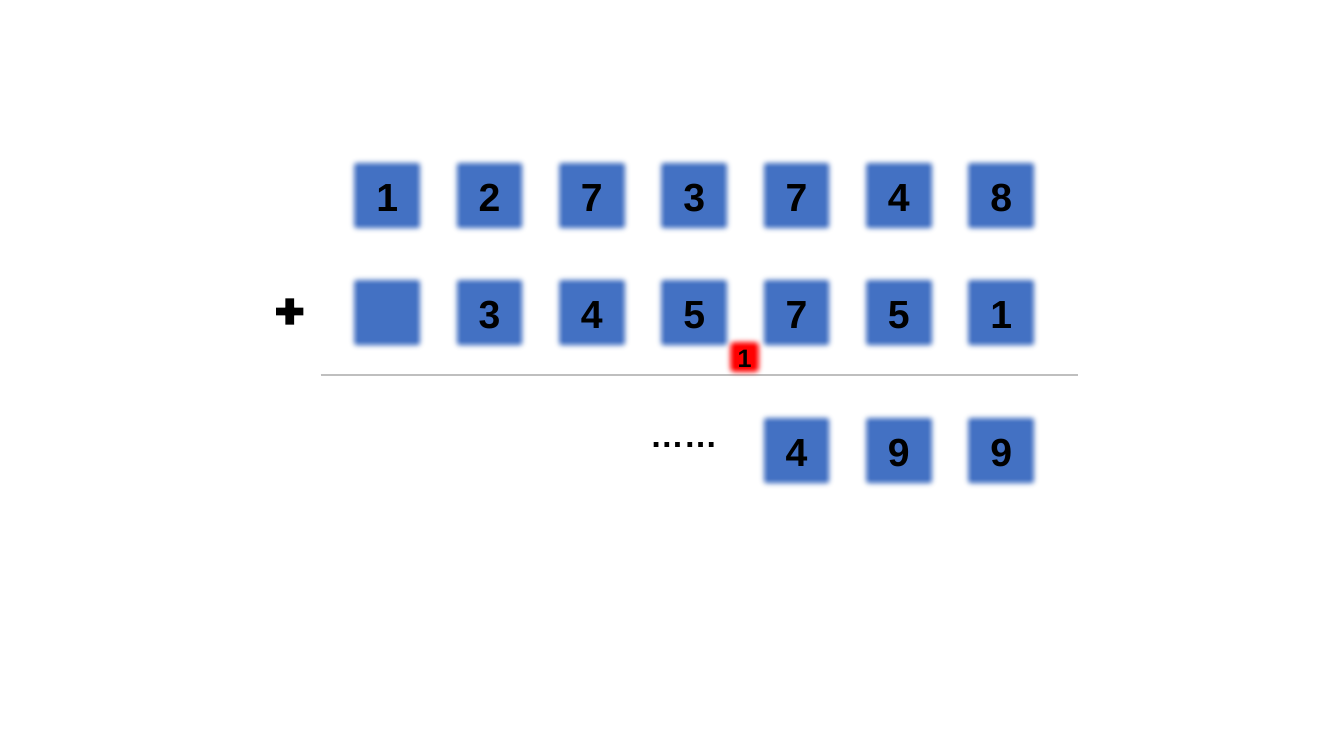
from lxml import etree
from pptx import Presentation
from pptx.dml.color import RGBColor
from pptx.enum.shapes import MSO_CONNECTOR, MSO_SHAPE
from pptx.enum.text import MSO_ANCHOR, MSO_AUTO_SIZE, PP_ALIGN
from pptx.oxml.ns import qn
from pptx.util import Inches, Pt

RECT = MSO_SHAPE.RECTANGLE
CROSS = MSO_SHAPE.CROSS
STRAIGHT = MSO_CONNECTOR.STRAIGHT
MIDDLE = MSO_ANCHOR.MIDDLE
FIT_SHAPE = MSO_AUTO_SIZE.SHAPE_TO_FIT_TEXT
CENTER = PP_ALIGN.CENTER

BLUE, RED, BLACK, GRAY = "4472C4", "FF0000", "000000", "BFBFBF"
TILE = 0.82
FIRST_COLUMN = 3.43
COLUMN_STEP = 1.015
ROWS = [(1.53, "1273748"), (2.69, " 345751"), (4.06, "499")]
COLUMNS = 7


def rgb(color):
    return RGBColor.from_string(color)


def add_tile(slide, left, top, width, height, color, digit, size):
    sp = slide.shapes.add_shape(RECT, Inches(left), Inches(top), Inches(width), Inches(height))
    sp.shadow.inherit = False
    sp.fill.solid()
    sp.fill.fore_color.rgb = rgb(color)
    sp.line.fill.background()
    effects = sp._element.spPr.find(qn("a:effectLst"))
    etree.SubElement(effects, qn("a:softEdge"), rad=str(Pt(5)))
    if digit.strip():
        tf = sp.text_frame
        tf.vertical_anchor = MIDDLE
        p = tf.paragraphs[0]
        p.text = digit
        p.alignment = CENTER
        p.font.name = "Arial"
        p.font.size = Pt(size)
        p.font.bold = True
        p.font.color.rgb = rgb(BLACK)


prs = Presentation()
prs.slide_width = Inches(13.33)
prs.slide_height = Inches(7.5)
s = prs.slides.add_slide(prs.slide_layouts[6])

for top, digits in ROWS:
    for column, digit in enumerate(digits, COLUMNS - len(digits)):
        left = FIRST_COLUMN + column * COLUMN_STEP
        add_tile(s, left, top, TILE, TILE, BLUE, digit, 28)

sum_line = s.shapes.add_connector(STRAIGHT, Inches(3.18), Inches(3.72), Inches(10.69), Inches(3.72))
sum_line.line.color.rgb = rgb(GRAY)
sum_line.line.width = Pt(1.5)
etree.SubElement(sum_line._element.spPr, qn("a:effectLst"))

add_tile(s, 7.16, 3.31, 0.45, 0.47, RED, "1", 18)

plus = s.shapes.add_shape(CROSS, Inches(2.74), Inches(2.96), Inches(0.27), Inches(0.26))
plus.adjustments[0] = 0.352
plus.shadow.inherit = False
plus.fill.solid()
plus.fill.fore_color.rgb = rgb(BLACK)
plus.line.fill.background()

ellipsis = s.shapes.add_textbox(Inches(6.35), Inches(4.06), Inches(0.88), Inches(0.5))
tf = ellipsis.text_frame
tf.word_wrap = False
tf.auto_size = FIT_SHAPE
p = tf.paragraphs[0]
p.text = "……"
p.font.name = "Arial"
p.font.size = Pt(24)
p.font.bold = True
p.font.color.rgb = rgb(BLACK)

prs.save("out.pptx")
